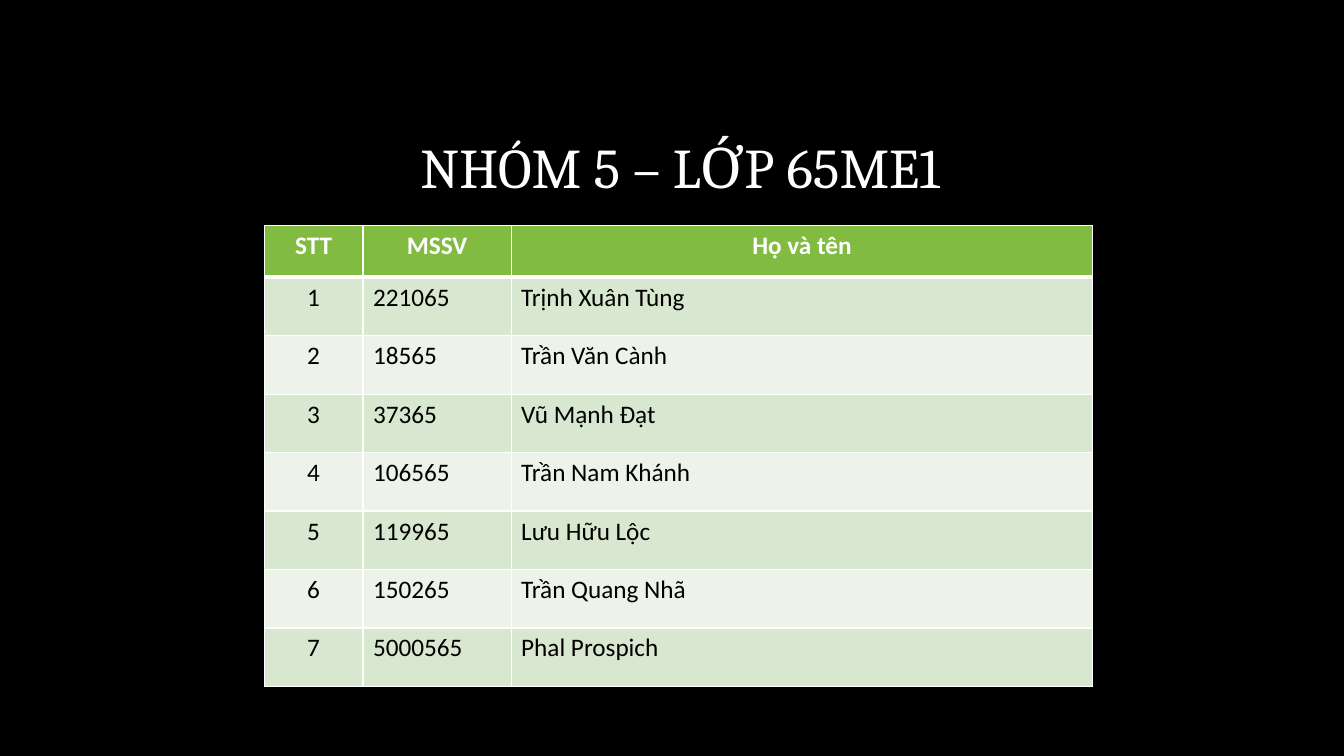
from typing import NamedTuple

from lxml import etree
from pptx import Presentation
from pptx import util as u
from pptx.dml.color import RGBColor
from pptx.enum import text
from pptx.oxml import ns

BLACK = RGBColor(0x00, 0x00, 0x00)
WHITE = RGBColor(0xFF, 0xFF, 0xFF)
GREEN = RGBColor(0x81, 0xBB, 0x42)
BAND_DARK = RGBColor(0xD8, 0xE7, 0xCF)
BAND_LIGHT = RGBColor(0xED, 0xF3, 0xE9)

THIN, THICK = 1, 3  # rule widths in points
HEADER_HEIGHT, STUDENT_HEIGHT = 0.51, 0.58


class Column(NamedTuple):
    heading: str
    width: float
    align: text.PP_ALIGN


class Student(NamedTuple):
    number: str
    name: str


COLUMNS = [
    Column("STT", 0.98, text.PP_ALIGN.CENTER),
    Column("MSSV", 1.47, text.PP_ALIGN.LEFT),
    Column("Họ và tên", 5.77, text.PP_ALIGN.LEFT),
]
STUDENTS = [
    Student("221065", "Trịnh Xuân Tùng"),
    Student("18565", "Trần Văn Cành"),
    Student("37365", "Vũ Mạnh Đạt"),
    Student("106565", "Trần Nam Khánh"),
    Student("119965", "Lưu Hữu Lộc"),
    Student("150265", "Trần Quang Nhã"),
    Student("5000565", "Phal Prospich"),
]


def set_borders(cell, top: float, bottom: float) -> None:
    """Rule the four sides of a cell in white; side rules are thin."""
    properties = cell._tc.get_or_add_tcPr()
    sides = {"a:lnL": THIN, "a:lnR": THIN, "a:lnT": top, "a:lnB": bottom}
    for position, (tag, width) in enumerate(sides.items()):
        line = etree.Element(ns.qn(tag), w=str(u.Pt(width)))
        fill = etree.SubElement(line, ns.qn("a:solidFill"))
        etree.SubElement(fill, ns.qn("a:srgbClr"), val=str(WHITE))
        properties.insert(position, line)


def format_text(paragraph, font_name: str, size: float, color: RGBColor,
                align: text.PP_ALIGN, bold: bool = False) -> None:
    paragraph.alignment = align
    font = paragraph.runs[0].font
    font.name, font.size, font.bold = font_name, u.Pt(size), bold
    font.color.rgb = color


def fill_cell(cell, wording: str, row: int, column: Column) -> None:
    header = row == 0
    cell.text_frame.text = wording
    format_text(cell.text_frame.paragraphs[0], "Calibri", 18,
                WHITE if header else BLACK,
                text.PP_ALIGN.CENTER if header else column.align, header)
    cell.fill.solid()
    band = BAND_DARK if row % 2 else BAND_LIGHT
    cell.fill.fore_color.rgb = GREEN if header else band
    set_borders(cell, top=THICK if row == 1 else THIN,
                bottom=THICK if header else THIN)


def add_title(slide) -> None:
    title = slide.shapes.title
    title.left, title.top = u.Inches(2.57), u.Inches(1.32)
    title.width, title.height = u.Inches(8.35), u.Inches(0.75)
    frame = title.text_frame
    frame.text = "NHÓM 5 – LỚP 65ME1"
    frame.word_wrap = True
    frame.auto_size = text.MSO_AUTO_SIZE.NONE
    frame.vertical_anchor = text.MSO_ANCHOR.MIDDLE
    heading = frame.paragraphs[0]
    heading.line_spacing = 0.9
    heading.space_before = u.Pt(0)
    format_text(heading, "Cambria", 40, WHITE, text.PP_ALIGN.CENTER)


def add_roster(slide) -> None:
    rows = [[column.heading for column in COLUMNS]]
    rows += [[str(order), *student] for order, student in enumerate(STUDENTS, 1)]
    heights = [HEADER_HEIGHT] + [STUDENT_HEIGHT] * len(STUDENTS)
    widths = [column.width for column in COLUMNS]
    roster = slide.shapes.add_table(
        len(rows), len(COLUMNS), u.Inches(2.62), u.Inches(2.24),
        u.Inches(sum(widths)), u.Inches(sum(heights))).table
    for index, width in enumerate(widths):
        roster.columns[index].width = u.Inches(width)
    for row, (height, wordings) in enumerate(zip(heights, rows)):
        roster.rows[row].height = u.Inches(height)
        for index, (wording, column) in enumerate(zip(wordings, COLUMNS)):
            fill_cell(roster.cell(row, index), wording, row, column)


def main() -> None:
    # Black widescreen slide
    deck = Presentation()
    deck.slide_width, deck.slide_height = u.Inches(13.33), u.Inches(7.5)
    slide = deck.slides.add_slide(deck.slide_layouts[5])
    slide.background.fill.solid()
    slide.background.fill.fore_color.rgb = BLACK

    # Group heading and its members
    add_title(slide)
    add_roster(slide)
    deck.save("out.pptx")


if __name__ == "__main__":
    main()
